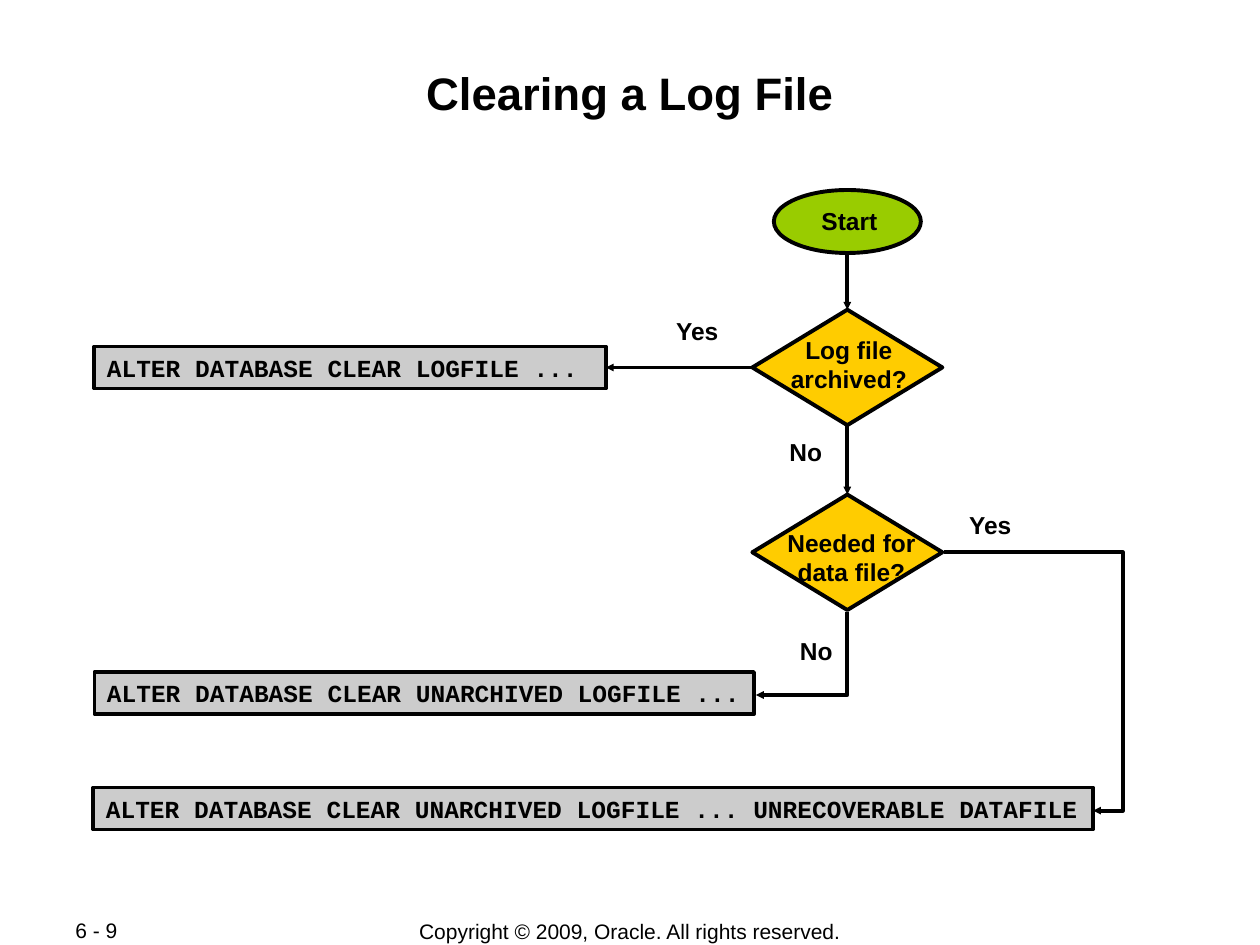
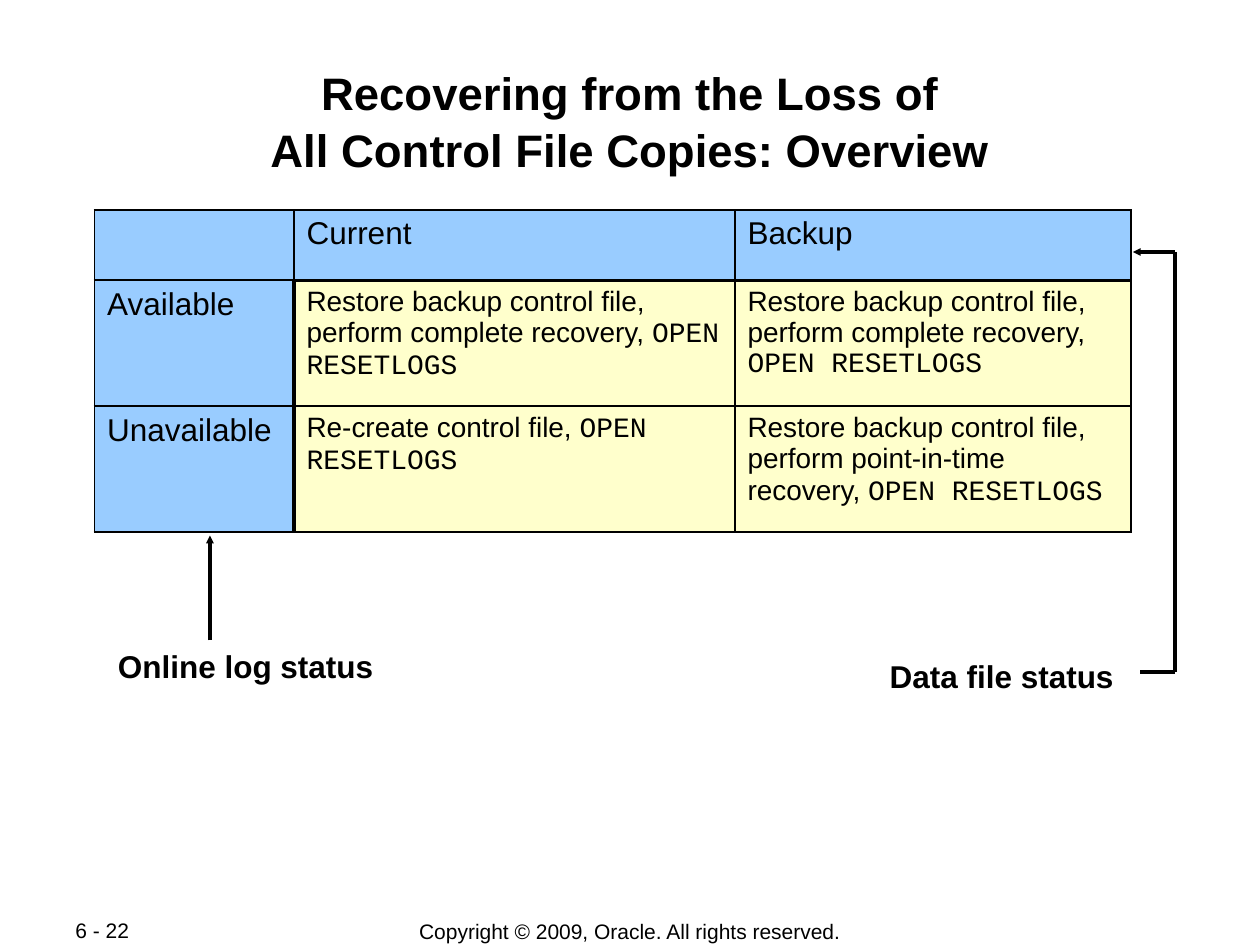
import pptx
import pptx.util
import pptx.dml.color
import pptx.enum.shapes
import pptx.enum.text
import pptx.oxml
import pptx.oxml.ns

RGBColor = pptx.dml.color.RGBColor
SHAPE = pptx.enum.shapes.MSO_SHAPE
LINK = pptx.enum.shapes.MSO_CONNECTOR
ALIGN = pptx.enum.text.PP_ALIGN
ANCHOR = pptx.enum.text.MSO_ANCHOR
Pt = pptx.util.Pt
qn = pptx.oxml.ns.qn

BLACK = RGBColor(0x00, 0x00, 0x00)
GREEN = RGBColor(0x99, 0xCC, 0x00)
AMBER = RGBColor(0xFF, 0xCC, 0x00)
GREY = RGBColor(0xCC, 0xCC, 0xCC)
BLUE = RGBColor(0x99, 0xCC, 0xFF)
CREAM = RGBColor(0xFF, 0xFF, 0xCC)

SANS, MONO = "Arial", "Courier New"
COPYRIGHT = "Copyright © 2009, Oracle. All rights reserved."
STROKE = 2.25
THIN, THICK = 1.08, 2.21

# Grid of 120 columns by 90 rows on a 10 by 7.5 inch slide
WIDTH, HEIGHT = pptx.util.Inches(10), pptx.util.Inches(7.5)


def cols(n):
    return round(WIDTH * n / 120)


def rows(n):
    return round(HEIGHT * n / 90)


def area(x, y, w, h):
    return cols(x), rows(y), cols(w), rows(h)


# Text
def add_run(p, text, size, font=SANS, bold=False):
    r = p.add_run()
    r.text = text
    r.font.name, r.font.size, r.font.bold = font, Pt(size), bold
    r.font.color.rgb = BLACK


def add_text(s, box, lines, size=14, bold=True, align=ALIGN.CENTER,
             anchor=ANCHOR.TOP, wrap=False):
    tf = s.shapes.add_textbox(*area(*box)).text_frame
    tf.word_wrap = wrap
    tf.vertical_anchor = anchor
    for i, line in enumerate(lines):
        p = tf.add_paragraph() if i else tf.paragraphs[0]
        p.alignment = align
        add_run(p, line, size, bold=bold)


def add_slide(prs, title_lines, number):
    s = prs.slides.add_slide(prs.slide_layouts[5])
    title = s.shapes.title
    title.left, title.top, title.width, title.height = area(8, 5.8, 104, 11.5)
    tf = title.text_frame
    tf.word_wrap = True
    tf.vertical_anchor = ANCHOR.TOP
    tf.margin_left = tf.margin_right = tf.margin_top = tf.margin_bottom = Pt(0.72)
    p = tf.paragraphs[0]
    p.alignment = ALIGN.CENTER
    p.line_spacing = 1.05
    p.space_before = Pt(0)
    for i, line in enumerate(title_lines):
        if i:
            p.add_line_break()
        add_run(p, line, 26, bold=True)
    # Footer
    add_text(s, (33, 87.4, 54, 2.5), [COPYRIGHT], 12, False, anchor=ANCHOR.MIDDLE)
    add_text(s, (6, 87.4, 12.7, 2.4), [number], 12, False, ALIGN.LEFT,
             ANCHOR.MIDDLE, wrap=True)
    return s


# Shapes and lines
def add_node(s, kind, box, color):
    sp = s.shapes.add_shape(kind, *area(*box))
    sp.shadow.inherit = False
    sp.fill.solid()
    sp.fill.fore_color.rgb = color
    sp.line.color.rgb = BLACK
    sp.line.width = Pt(STROKE)
    return sp


def add_command(s, x, y, w, command):
    sp = add_node(s, SHAPE.RECTANGLE, (x, y, w, 4), GREY)
    tf = sp.text_frame
    tf.word_wrap = True
    tf.vertical_anchor = ANCHOR.TOP
    tf.margin_right = 0
    tf.paragraphs[0].alignment = ALIGN.LEFT
    add_run(tf.paragraphs[0], command, 14, MONO, True)
    return sp


def add_link(s, start, end, arrow="tailEnd", kind=LINK.STRAIGHT):
    link = s.shapes.add_connector(kind, cols(start[0]), rows(start[1]),
                                  cols(end[0]), rows(end[1]))
    link.line.color.rgb = BLACK
    link.line.width = Pt(STROKE)
    if arrow:
        tip = pptx.oxml.parse_xml(
            f'<a:{arrow} {pptx.oxml.ns.nsdecls("a")} type="triangle" w="sm" len="sm"/>')
        link.line._get_or_add_ln().append(tip)
    props = link._element.spPr
    props.append(props.makeelement(qn("a:effectLst"), {}))
    return link


def set_bend(link, preset, adjust=None):
    geom = link._element.spPr.find(qn("a:prstGeom"))
    geom.set("prst", preset)
    if adjust is not None:
        guides = geom.find(qn("a:avLst"))
        guides.append(guides.makeelement(
            qn("a:gd"), {"name": "adj1", "fmla": f"val {round(adjust * 100000)}"}))


# Table cells
def set_borders(cell, widths):
    props = cell._tc.get_or_add_tcPr()
    for i, (side, width) in enumerate(zip("LRTB", widths)):
        props.insert(i, pptx.oxml.parse_xml(
            f'<a:ln{side} {pptx.oxml.ns.nsdecls("a")} w="{Pt(width)}">'
            f'<a:solidFill><a:srgbClr val="{BLACK}"/></a:solidFill></a:ln{side}>'))


def fill_cell(cell, row, col, text):
    header = row == 0 or col == 0
    cell.fill.solid()
    cell.fill.fore_color.rgb = BLUE if header else CREAM
    p = cell.text_frame.paragraphs[0]
    if header:
        if text:
            add_run(p, text, 18)
    else:
        add_run(p, text, 16)
        add_run(p, "OPEN RESETLOGS", 16, MONO)
    # Thick rules part the headings from the body
    set_borders(cell, (THICK if row and col == 1 else THIN,
                       THICK if row and col == 0 else THIN,
                       THICK if col and row == 1 else THIN,
                       THICK if col and row == 0 else THIN))


def add_status_table(s, x, y, widths, heights, texts):
    frame = s.shapes.add_table(len(heights), len(widths),
                               *area(x, y, sum(widths), sum(heights)))
    table = frame.table
    table.first_row = table.horz_banding = False
    for column, width in zip(table.columns, widths):
        column.width = cols(width)
    for r, height in enumerate(heights):
        table.rows[r].height = rows(height)
        for c, text in enumerate(texts[r]):
            fill_cell(table.cell(r, c), r, c, text)


def build_clearing(prs):
    s = add_slide(prs, ["Clearing a Log File"], "6 - 9")
    # Flow nodes
    axis, size = 80.7, (18.1, 11)
    left = axis - size[0] / 2
    archived = add_node(s, SHAPE.FLOWCHART_DECISION, (left, 29.5, *size), AMBER)
    needed = add_node(s, SHAPE.FLOWCHART_DECISION, (left, 47.1, *size), AMBER)
    add_node(s, SHAPE.OVAL, (axis - 7, 18.1, 14, 6), GREEN)
    clear = add_command(s, 9, 33, 48.7, "ALTER DATABASE CLEAR LOGFILE ...")
    add_command(s, 9, 64, 62.8, "ALTER DATABASE CLEAR UNARCHIVED LOGFILE ...")
    add_command(s, 8.9, 75, 95.2, "ALTER DATABASE CLEAR UNARCHIVED LOGFILE ... "
                "UNRECOVERABLE DATAFILE")

    # Straight arrows
    add_link(s, (axis, 24.3), (axis, 29.5)).end_connect(archived, 0)
    for target, out_side, in_side in ((needed, 2, 0), (clear, 1, 3)):
        link = add_link(s, (axis, 40), (axis, 47))
        link.begin_connect(archived, out_side)
        link.end_connect(target, in_side)

    # Bent arrows
    link = add_link(s, (72, 66.2), (axis, 58.3), "headEnd", LINK.ELBOW)
    set_bend(link, "bentConnector2")
    link = add_link(s, (89.9, 52.6), (104.1, 77.2), kind=LINK.ELBOW)
    set_bend(link, "bentConnector3", 1.2)

    # Labels
    for box, lines in (
            ((77, 19, 7.8, 4), ["Start"]),
            ((74.1, 31.3, 13.5, 6.8), ["Log file", "archived?"]),
            ((73.8, 49.7, 14.6, 6.8), ["Needed for", "data file?"]),
            ((63.1, 29.5, 6.6, 4), ["Yes"]),
            ((91, 48, 6.6, 4), ["Yes"]),
            ((74, 41, 5.5, 4), ["No"]),
            ((75, 60, 5.5, 4), ["No"])):
        add_text(s, box, lines)


def build_recovering(prs):
    s = add_slide(prs, ["Recovering from the Loss of",
                        "All Control File Copies: Overview"], "6 - 22")
    restore = "Restore backup control file, perform "
    add_status_table(s, 9, 20, (19, 42, 37.7), (6.7, 12, 12), (
        ("", "Current", "Backup"),
        ("Available", restore + "complete recovery, ", restore + "complete recovery, "),
        ("Unavailable", "Re-create control file, ", restore + "point-in-time recovery, ")))

    # Row heading note
    add_text(s, (10, 61, 26.8, 4.8), ["Online log status"], 18)
    add_link(s, (20, 61), (20, 51))

    # Column heading note with its bracket
    add_text(s, (83.5, 62, 23.8, 4.8), ["Data file status"], 18)
    corners = ((108.6, 64), (111.9, 64), (111.9, 24), (107.9, 24))
    for start, end in zip(corners, corners[1:]):
        add_link(s, start, end, "tailEnd" if end == corners[-1] else None)


def main():
    prs = pptx.Presentation()
    prs.slide_width, prs.slide_height = WIDTH, HEIGHT
    build_clearing(prs)
    build_recovering(prs)
    prs.save("out.pptx")


if __name__ == "__main__":
    main()
